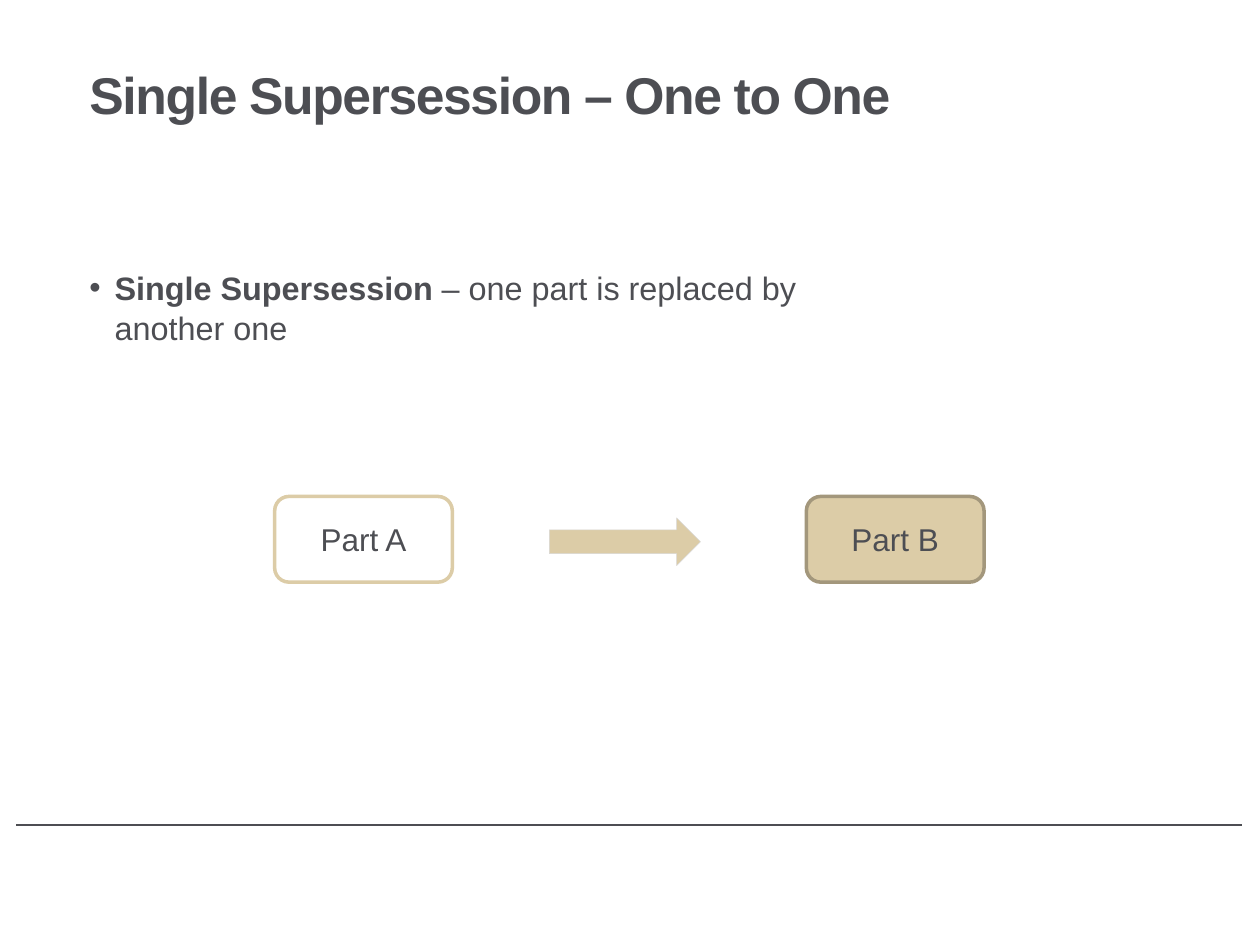
from pptx import Presentation
from pptx.dml.color import RGBColor
from pptx.enum.shapes import MSO_CONNECTOR as Connector, MSO_SHAPE as Preset
from pptx.enum.text import MSO_ANCHOR as Anchor, MSO_AUTO_SIZE as AutoSize, PP_ALIGN as Align
from pptx.oxml.ns import qn
from pptx.util import Inches, Pt
from lxml import etree

GREY = RGBColor(0x4D, 0x4E, 0x53)
SAND = RGBColor(0xDC, 0xCC, 0xA7)
DARK_SAND = RGBColor(0xA3, 0x97, 0x7C)
PALE_GREY = RGBColor(0xD8, 0xD7, 0xD5)
WHITE = RGBColor(0xFF, 0xFF, 0xFF)


def place(box, left, top, width, height):
    box.left, box.top = Inches(left), Inches(top)
    box.width, box.height = Inches(width), Inches(height)
    frame = box.text_frame
    frame.word_wrap = True
    frame.auto_size = AutoSize.NONE
    frame.vertical_anchor = Anchor.TOP
    return frame.paragraphs[0]


def add_span(para, text, size, bold=False):
    span = para.add_run()
    span.text = text
    values = {"name": "Arial", "size": Pt(size), "bold": bold}
    for name, value in values.items():
        setattr(span.font, name, value)
    span.font.color.rgb = GREY
    return span


deck = Presentation()
deck.slide_width, deck.slide_height = Inches(10), Inches(7.5)
page = deck.slides.add_slide(deck.slide_layouts[1])

# Footer rule
rule = page.shapes.add_connector(
    Connector.STRAIGHT, Inches(0.13), Inches(6.55), Inches(9.86), Inches(6.55))
rule.line.color.rgb = GREY
rule.line.width = Pt(1)
etree.SubElement(rule.line._get_or_add_ln().getparent(), qn("a:effectLst"))

# Title
para = place(page.shapes.title, 0.61, 0.44, 9, 1.25)
para.alignment = Align.LEFT
para.line_spacing = Pt(36)
span = add_span(para, "Single Supersession – One to One", 29.5, bold=True)
span.font._element.set("spc", "-80")

# Definition bullet
para = place(page.placeholders[1], 0.61, 2.06, 6.7, 4.06)
para.space_before = Pt(12)
para.line_spacing = 1.05
add_span(para, "Single Supersession ", 18.5, bold=True)
add_span(para, "– one part is replaced by another one", 18.5)
layout = para._p.get_or_add_pPr()
layout.set("marL", str(Inches(0.2)))
layout.set("indent", str(Inches(-0.2)))
bullet_color = etree.SubElement(layout, qn("a:buClr"))
etree.SubElement(bullet_color, qn("a:srgbClr"), val=str(GREY))
etree.SubElement(layout, qn("a:buChar"), char="•")

# Old part, arrow, new part
steps = [
    (Preset.ROUNDED_RECTANGLE, 2.18, 3.94, 1.41, 0.68, WHITE, SAND, 2, "Part A"),
    (Preset.RIGHT_ARROW, 4.36, 4.11, 1.2, 0.38, SAND, PALE_GREY, 0.25, None),
    (Preset.ROUNDED_RECTANGLE, 6.4, 3.94, 1.41, 0.68, SAND, DARK_SAND, 2, "Part B"),
]
for preset, left, top, width, height, fill, edge, weight, label in steps:
    box = page.shapes.add_shape(
        preset, Inches(left), Inches(top), Inches(width), Inches(height))
    box.shadow.inherit = False
    box.fill.solid()
    box.fill.fore_color.rgb = fill
    box.line.color.rgb = edge
    box.line.width = Pt(weight)
    if label:
        box.text_frame.vertical_anchor = Anchor.MIDDLE
        para = box.text_frame.paragraphs[0]
        para.alignment = Align.CENTER
        add_span(para, label, 18)

deck.save("out.pptx")
